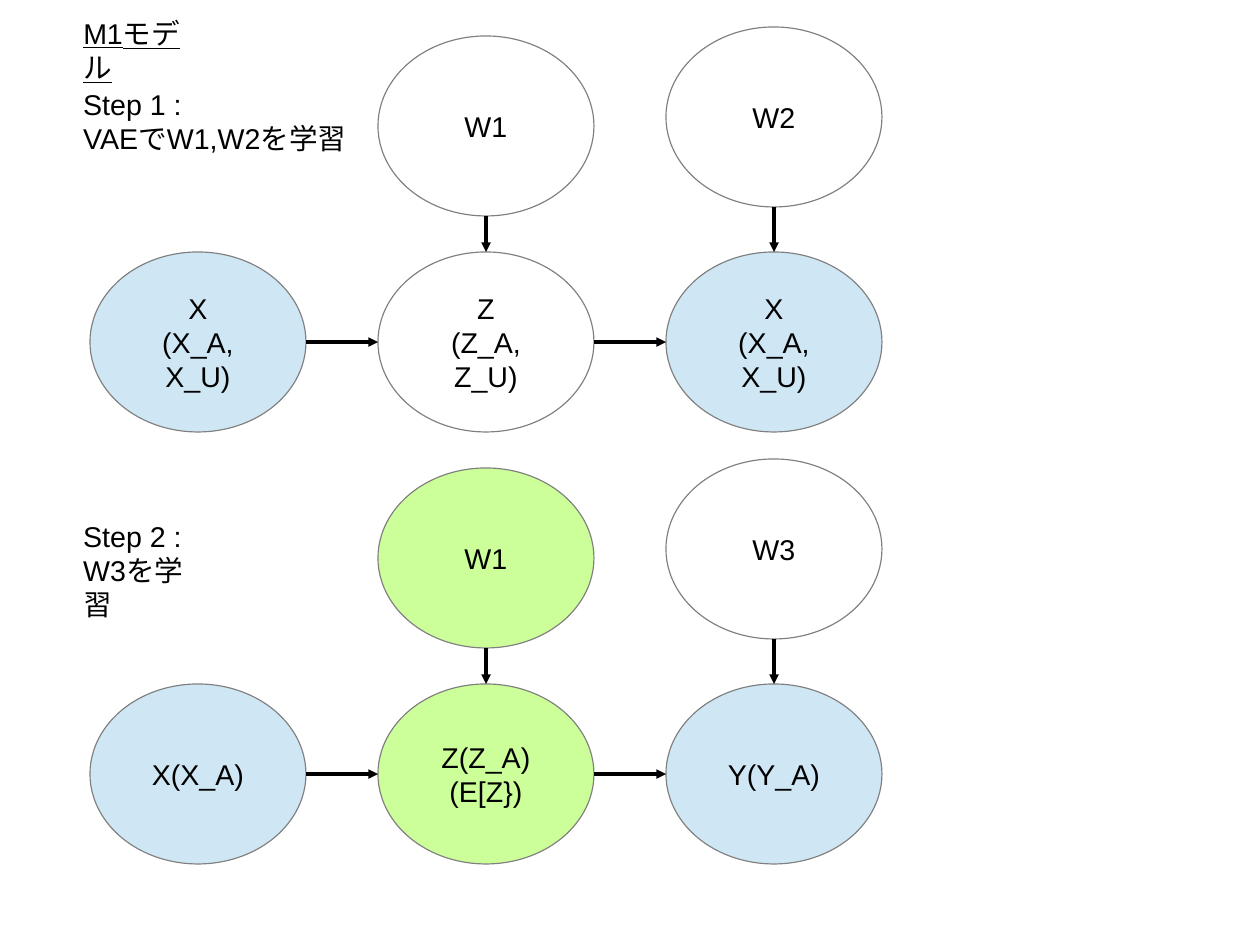
"""Draw the two training steps of the M1 model as a node diagram."""
from dataclasses import dataclass
from typing import Optional

from lxml import etree
from pptx import Presentation
from pptx.dml.color import RGBColor
from pptx.enum.shapes import MSO_CONNECTOR, MSO_SHAPE
from pptx.enum.text import MSO_ANCHOR, MSO_AUTO_SIZE, PP_ALIGN
from pptx.oxml.ns import qn
from pptx.slide import Slide
from pptx.text.text import TextFrame
from pptx.util import Emu, Pt

ELLIPSE = MSO_SHAPE.OVAL
STRAIGHT = MSO_CONNECTOR.STRAIGHT
MIDDLE, TOP = MSO_ANCHOR.MIDDLE, MSO_ANCHOR.TOP
CENTER, LEFT = PP_ALIGN.CENTER, PP_ALIGN.LEFT
GROW = MSO_AUTO_SIZE.SHAPE_TO_FIT_TEXT

BLACK = RGBColor(0x00, 0x00, 0x00)
GRAY = RGBColor(0x80, 0x80, 0x80)
BLUE = RGBColor(0xCF, 0xE7, 0xF5)
GREEN = RGBColor(0xCC, 0xFF, 0x99)

EMU_PER_PX = 8000
SLIDE_WIDTH, SLIDE_HEIGHT = 1260, 945
NODE_WIDTH, NODE_HEIGHT = 216, 180
FIRST_COLUMN, COLUMN_PITCH = 90, 288
VARIABLE_TOP, WEIGHT_TOPS = 252, {1: 36, 2: 27}
STEP_PITCH = 432
LABEL_LEFT = 72
FONT_FORMAT = {"name": "Arial", "size": Pt(18)}


@dataclass(frozen=True)
class Node:
    column: int
    text: str
    fill: Optional[RGBColor] = None


@dataclass(frozen=True)
class Step:
    variables: tuple[Node, ...]
    weights: tuple[Node, ...]


@dataclass(frozen=True)
class Label:
    text: str
    top: int
    width: int
    height: int
    underline: bool = False


STEPS = (
    Step(
        (Node(0, "X\n(X_A, X_U)", BLUE), Node(1, "Z\n(Z_A, Z_U)"), Node(2, "X\n(X_A, X_U)", BLUE)),
        (Node(1, "W1"), Node(2, "W2")),
    ),
    Step(
        (Node(0, "X(X_A)", BLUE), Node(1, "Z(Z_A)\n(E[Z})", GREEN), Node(2, "Y(Y_A)", BLUE)),
        (Node(1, "W1", GREEN), Node(2, "W3")),
    ),
)
LABELS = (
    Label("M1モデル", 10, 147, 53, underline=True),
    Label("Step 1 :\nVAEでW1,W2を学習", 81, 286, 85),
    Label("Step 2 :\nW3を学習", 81 + STEP_PITCH, 151, 85),
)


def px(length: int) -> Emu:
    """Turn pixels into EMU."""
    return Emu(length * EMU_PER_PX)


def column_left(column: int) -> int:
    """Return the left edge of a node column."""
    return FIRST_COLUMN + column * COLUMN_PITCH


def write_text(frame: TextFrame, text: str, alignment: PP_ALIGN, underline: bool = False) -> None:
    """Fill a text frame and format each of its paragraphs."""
    frame.word_wrap = True
    frame.text = text
    for paragraph in frame.paragraphs:
        paragraph.alignment = alignment
        for run in paragraph.runs:
            for name, value in FONT_FORMAT.items():
                setattr(run.font, name, value)
            run.font.color.rgb = BLACK
            if underline:
                run.font.underline = True


def draw_node(slide: Slide, node: Node, top: int) -> None:
    """Draw one ellipse with its centred text."""
    shape = slide.shapes.add_shape(
        ELLIPSE, px(column_left(node.column)), px(top), px(NODE_WIDTH), px(NODE_HEIGHT)
    )
    shape.shadow.inherit = False
    if node.fill is None:
        shape.fill.background()
    else:
        shape.fill.solid()
        shape.fill.fore_color.rgb = node.fill
    shape.line.color.rgb = GRAY
    shape.line.width = Pt(0)
    shape.text_frame.vertical_anchor = MIDDLE
    write_text(shape.text_frame, node.text, CENTER)


def draw_arrow(slide: Slide, start: tuple[int, int], end: tuple[int, int]) -> None:
    """Draw a hairline with a triangular head at its end."""
    connector = slide.shapes.add_connector(STRAIGHT, *map(px, start + end))
    connector.line.color.rgb = BLACK
    connector.line.width = Pt(0)
    etree.SubElement(connector.line._get_or_add_ln(), qn("a:tailEnd"), type="triangle")
    etree.SubElement(connector._element.spPr, qn("a:effectLst"))


def draw_step(slide: Slide, step: Step, offset: int) -> None:
    """Draw the nodes and arrows of one training step."""
    row_top = VARIABLE_TOP + offset
    row_middle = row_top + NODE_HEIGHT // 2
    for node in step.variables:
        draw_node(slide, node, row_top)
        if node.column > 0:
            start = column_left(node.column - 1) + NODE_WIDTH
            draw_arrow(slide, (start, row_middle), (column_left(node.column), row_middle))
    for node in step.weights:
        top = WEIGHT_TOPS[node.column] + offset
        center = column_left(node.column) + NODE_WIDTH // 2
        draw_node(slide, node, top)
        draw_arrow(slide, (center, top + NODE_HEIGHT), (center, row_top))


def draw_label(slide: Slide, label: Label) -> None:
    """Draw one text box of the left margin."""
    box = slide.shapes.add_textbox(px(LABEL_LEFT), px(label.top), px(label.width), px(label.height))
    box.text_frame.vertical_anchor = TOP
    box.text_frame.auto_size = GROW
    write_text(box.text_frame, label.text, LEFT, label.underline)


def main() -> None:
    """Build the slide and save it."""
    presentation = Presentation()
    presentation.slide_width = px(SLIDE_WIDTH)
    presentation.slide_height = px(SLIDE_HEIGHT)
    slide = presentation.slides.add_slide(presentation.slide_layouts[6])
    for index, step in enumerate(STEPS):
        draw_step(slide, step, index * STEP_PITCH)
    for label in LABELS:
        draw_label(slide, label)
    presentation.save("out.pptx")


if __name__ == "__main__":
    main()
